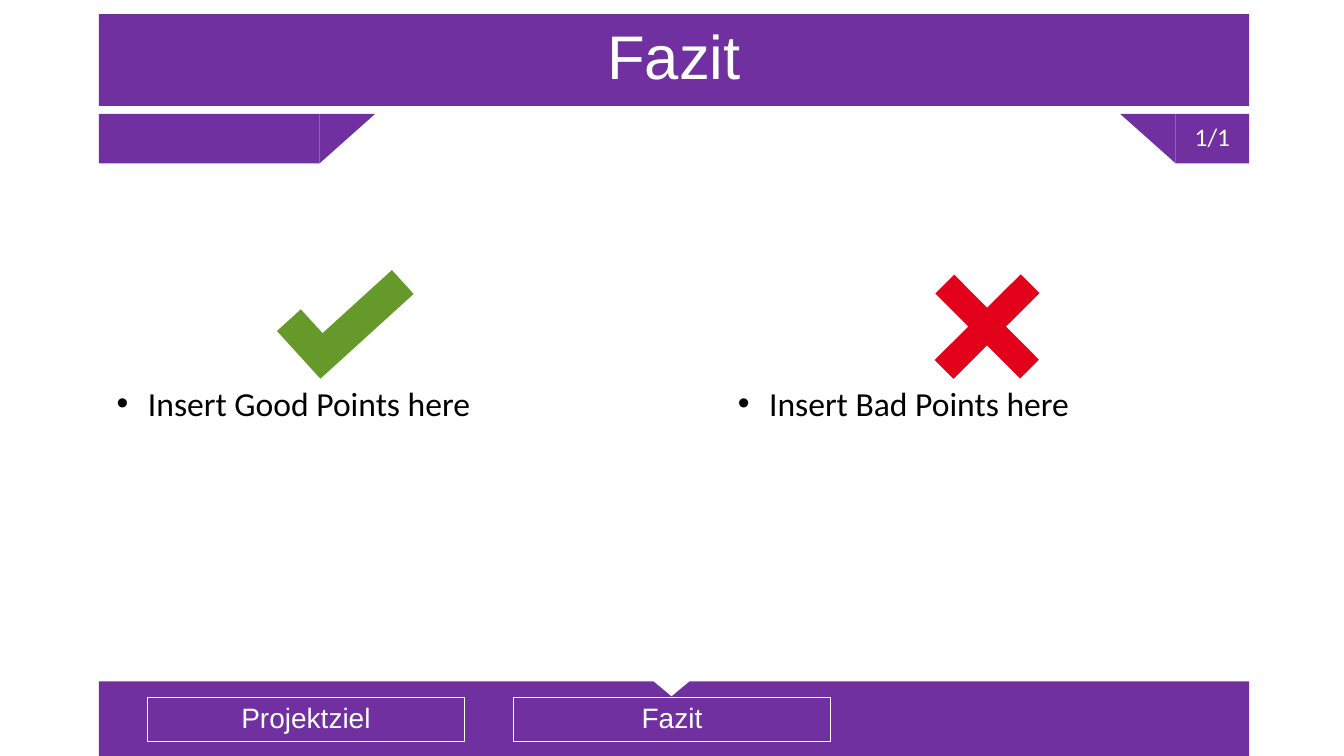
from lxml import etree
from pptx import Presentation, util as u
from pptx.dml.color import RGBColor
from pptx.enum import shapes, text
from pptx.oxml import ns

PURPLE = RGBColor(0x70, 0x30, 0xA0)
WHITE = RGBColor(0xFF, 0xFF, 0xFF)
BLACK = RGBColor(0, 0, 0)
GREEN = RGBColor(0x65, 0x9A, 0x2A)
RED = RGBColor(0xE2, 0x00, 0x1A)
KIND = shapes.MSO_SHAPE
CELL = 0.1  # inches per grid column and row
COLUMNS, ROWS = 133.3, 75
LEFT, BAND = 9.8, 114.1  # left edge and width of the content band
RIGHT = LEFT + BAND


def write(frame, words, *, size, font="Arial", color=WHITE,
          align=text.PP_ALIGN.CENTER, anchor=text.MSO_ANCHOR.MIDDLE,
          spacing=0.9, bullet=None):
    """Write one formatted paragraph, optionally with a hanging bullet."""
    frame.word_wrap = True
    frame.auto_size = text.MSO_AUTO_SIZE.NONE
    frame.vertical_anchor = anchor
    paragraph = frame.paragraphs[0]
    paragraph.alignment = align
    paragraph.line_spacing = spacing
    run = paragraph.add_run()
    run.text = words
    run.font.size = u.Pt(size)
    run.font.name = font
    run.font.color.rgb = color
    if bullet:
        props = paragraph._p.get_or_add_pPr()
        indent = u.Inches(0.31)
        props.set("marL", str(indent))
        props.set("indent", str(-indent))
        etree.SubElement(props, ns.qn("a:buFont")).set("typeface", "Arial")
        etree.SubElement(props, ns.qn("a:buChar")).set("char", bullet)


class Deck:
    """Holds the grid, the style and the current slide."""

    def __init__(self):
        """Start a presentation with one title-only slide."""
        self.show = Presentation()
        self.show.slide_width, self.show.slide_height = self.grid(COLUMNS, ROWS)
        self.slide = self.show.slides.add_slide(self.show.slide_layouts[5])

    def grid(self, *cells):
        """Turn grid cells into lengths."""
        return [u.Inches(cell * CELL) for cell in cells]

    def title(self, words, *box):
        """Place and format the title placeholder."""
        title = self.slide.shapes.title
        title.left, title.top, title.width, title.height = self.grid(*box)
        title.fill.solid()
        title.fill.fore_color.rgb = PURPLE
        write(title.text_frame, words, size=44)

    def shape(self, kind, *box, fill=PURPLE, line=None, turn=0, adjust=()):
        """Add a flat preset shape."""
        shape = self.slide.shapes.add_shape(kind, *self.grid(*box))
        shape.shadow.inherit = False
        shape.rotation = turn
        for index, value in enumerate(adjust):
            shape.adjustments[index] = value
        if fill is None:
            shape.fill.background()
        else:
            shape.fill.solid()
            shape.fill.fore_color.rgb = fill
        if line is None:
            shape.line.fill.background()
        else:
            shape.line.color.rgb = line
            shape.line.width = u.Pt(0.75)
        return shape

    def points(self, words, *box):
        """Add a bulleted list entry."""
        entry = self.slide.shapes.add_textbox(*self.grid(*box))
        write(entry.text_frame, words, size=24, font="Calibri", color=BLACK,
              align=text.PP_ALIGN.LEFT, anchor=text.MSO_ANCHOR.TOP,
              spacing=1, bullet="•")


def build():
    """Build the conclusion slide."""
    deck = Deck()
    deck.title("Fazit", LEFT, 1.4, BAND, 9.1)

    # Section tab on the left, page tab on the right
    tab_top, tab_height, slant = 11.3, 4.9, 5.5
    section_width, page_width = 21.9, 7.3
    page_left = RIGHT - page_width
    deck.shape(KIND.RECTANGLE, LEFT, tab_top, section_width, tab_height)
    shift = (slant - tab_height) / 2  # the quarter turn swaps width and height
    deck.shape(KIND.RIGHT_TRIANGLE, LEFT + section_width + shift,
               tab_top - shift, tab_height, slant, turn=90)
    deck.shape(KIND.RIGHT_TRIANGLE, page_left - slant, tab_top,
               slant, tab_height, turn=180)
    page = deck.shape(KIND.RECTANGLE, page_left, tab_top, page_width, tab_height)
    write(page.text_frame, "1/1", size=18, font="Calibri")

    # Footer navigation with a marker above the current chapter
    chapter_left, chapter_step, chapter_width = 14.6, 36.3, 31.5
    deck.shape(KIND.RECTANGLE, LEFT, 67.6, BAND, 7.4)
    for index, chapter in enumerate(("Projektziel", "Fazit")):
        left = chapter_left + index * chapter_step
        button = deck.shape(KIND.RECTANGLE, left, 69.2, chapter_width, 4.4,
                            fill=None, line=WHITE)
        write(button.text_frame, chapter, size=20)
    deck.shape(KIND.ISOSCELES_TRIANGLE, 64.8, 67.5, 3.6, 1.5,
               fill=WHITE, line=WHITE, turn=180)

    # Good and bad points
    deck.shape(KIND.CORNER, 28, 27.8, 12.5, 6.4, fill=GREEN, turn=317.7)
    deck.points("Insert Good Points here", 10.6, 37.5, 42, 5)
    deck.shape(KIND.MATH_PLUS, 89.8, 24.2, 16.2, 16.4, fill=RED, turn=45.1,
               adjust=[0.163])
    deck.points("Insert Bad Points here", 72.2, 37.5, 42, 5)
    deck.show.save("out.pptx")


build()
